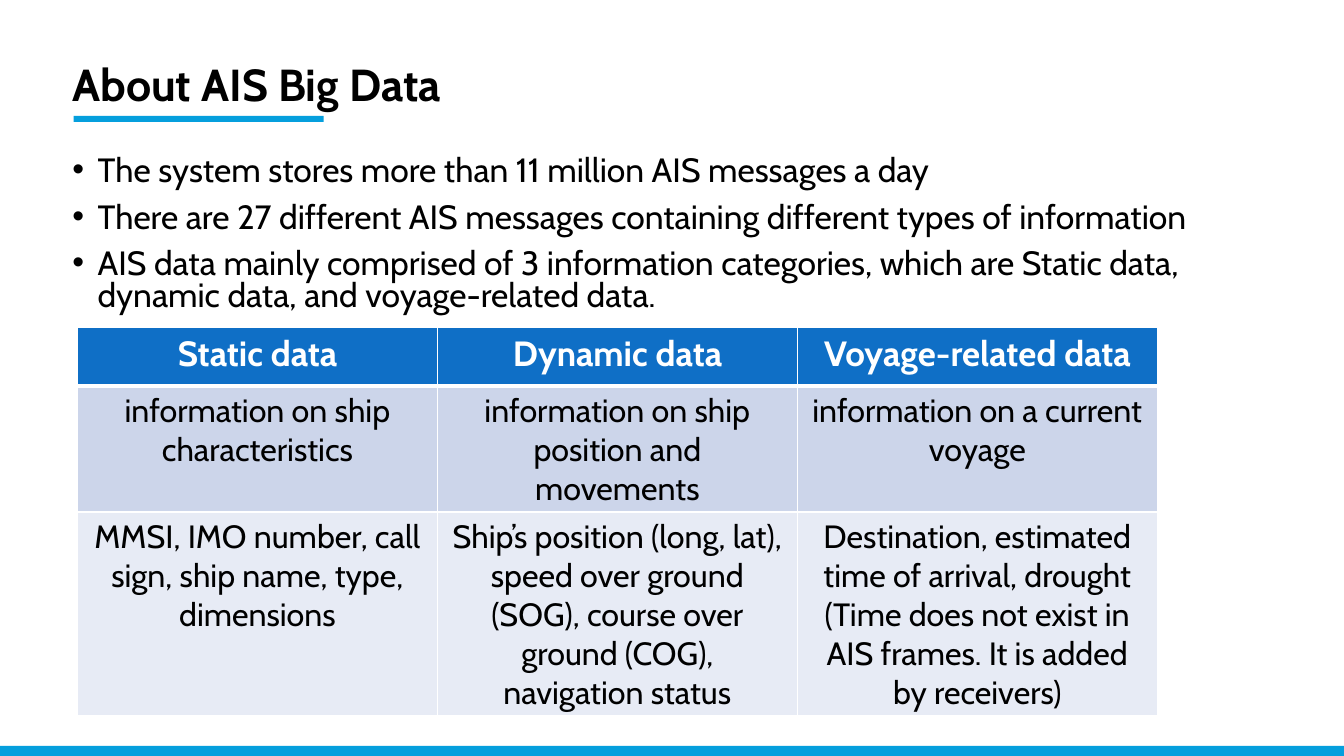
from dataclasses import dataclass

from lxml.etree import SubElement
from pptx import Presentation
from pptx.dml.color import RGBColor
from pptx.enum.shapes import MSO_SHAPE
from pptx.enum.text import MSO_ANCHOR, PP_ALIGN
from pptx.oxml import parse_xml
from pptx.oxml.ns import nsdecls, qn
from pptx.util import Inches, Pt


@dataclass(frozen=True)
class Theme:
    font: str = "Cabin"
    accent: str = "059FDD"
    text: str = "000000"
    white: str = "FFFFFF"
    header: str = "0F6FC6"
    bands: tuple = ("CCD5EA", "E7EBF5")
    title_size: int = 32
    body_size: int = 24
    header_size: int = 25
    cell_size: int = 23


THEME = Theme()


def write_text(frame, lines, size, color=THEME.text, bold=False, align=PP_ALIGN.LEFT,
               line_spacing=None, space_before=0, bullet=False):
    frame.word_wrap = True
    for index, line in enumerate(lines):
        para = frame.paragraphs[0] if index == 0 else frame.add_paragraph()
        para.alignment = align
        if line_spacing:
            para.line_spacing = line_spacing
        if index and space_before:
            para.space_before = Pt(space_before)
        if bullet:
            properties = para._p.get_or_add_pPr()
            properties.set("marL", str(Inches(0.25)))
            properties.set("indent", str(-Inches(0.25)))
            SubElement(properties, qn("a:buFont"), typeface="Arial")
            SubElement(properties, qn("a:buChar"), char="•")
        span = para.add_run()
        span.text = line
        span.font.name = THEME.font
        span.font.size = Pt(size)
        span.font.bold = bold
        span.font.color.rgb = RGBColor.from_string(color)


class SlideBuilder:
    def __init__(self, page, theme):
        self.page = page
        self.theme = theme

    def bar(self, left, top, width, height):
        shape = self.page.shapes.add_shape(
            MSO_SHAPE.RECTANGLE, Inches(left), Inches(top), Inches(width), Inches(height))
        shape.shadow.inherit = False
        shape.fill.solid()
        shape.fill.fore_color.rgb = RGBColor.from_string(self.theme.accent)
        shape.line.fill.background()

    def text(self, left, top, width, height, lines, anchor=MSO_ANCHOR.TOP, **style):
        box = self.page.shapes.add_textbox(
            Inches(left), Inches(top), Inches(width), Inches(height))
        box.text_frame.vertical_anchor = anchor
        write_text(box.text_frame, lines, **style)

    def cell_borders(self, cell, widths):
        properties = cell._tc.get_or_add_tcPr()
        for index, (side, width) in enumerate(widths.items()):
            properties.insert(index, parse_xml(
                f'<a:ln{side} {nsdecls("a")} w="{Pt(width)}"><a:solidFill>'
                f'<a:srgbClr val="{self.theme.white}"/></a:solidFill></a:ln{side}>'))

    def table(self, left, top, column_width, row_heights, rows):
        columns = len(rows[0])
        table = self.page.shapes.add_table(
            len(rows), columns, Inches(left), Inches(top),
            Inches(column_width * columns), Inches(sum(row_heights))).table
        for column in table.columns:
            column.width = Inches(column_width)
        for row_index, (height, row) in enumerate(zip(row_heights, rows)):
            table.rows[row_index].height = Inches(height)
            is_header = row_index == 0
            fill = self.theme.header if is_header else self.theme.bands[row_index - 1]
            for column_index, lines in enumerate(row):
                cell = table.cell(row_index, column_index)
                cell.fill.solid()
                cell.fill.fore_color.rgb = RGBColor.from_string(fill)
                self.cell_borders(cell, {
                    "L": 1, "R": 1,
                    "T": 3 if row_index == 1 else 1,
                    "B": 3 if is_header else 1})
                write_text(
                    cell.text_frame, lines, align=PP_ALIGN.CENTER, bold=is_header,
                    size=self.theme.header_size if is_header else self.theme.cell_size,
                    color=self.theme.white if is_header else self.theme.text)


def main():
    deck = Presentation()
    deck.slide_width, deck.slide_height = Inches(13.33), Inches(7.5)
    builder = SlideBuilder(deck.slides.add_slide(deck.slide_layouts[6]), THEME)

    builder.bar(0, 7.4, 13.33, 0.1)
    builder.bar(0.73, 1.15, 2.48, 0.06)
    builder.text(0.62, 0.46, 11.5, 0.81, ["About AIS Big Data"], anchor=MSO_ANCHOR.MIDDLE,
                 size=THEME.title_size, bold=True, line_spacing=0.9)
    builder.text(0.62, 1.51, 11.94, 1.77, [
        "The system stores more than 11 million AIS messages a day",
        "There are 27 different AIS messages containing different types of information",
        "AIS data mainly comprised of 3 information categories, which are Static data, "
        "dynamic data, and voyage-related data.",
    ], size=THEME.body_size, line_spacing=0.8, space_before=10, bullet=True)
    builder.table(0.77, 3.25, 3.57, [0.58, 1.09, 2], [
        [["Static data"], ["Dynamic data"], ["Voyage-related data"]],
        [["information on ship characteristics"],
         ["information on ship position and movements"],
         ["information on a current voyage"]],
        [["MMSI, IMO number, call sign, ship name, type, dimensions"],
         ["Ship’s position (long, lat), speed over ground (SOG), "
          "course over ground (COG), navigation status"],
         ["Destination, estimated time of arrival, drought",
          "(Time does not exist in AIS frames. It is added by receivers)"]],
    ])
    deck.save("out.pptx")


if __name__ == "__main__":
    main()
